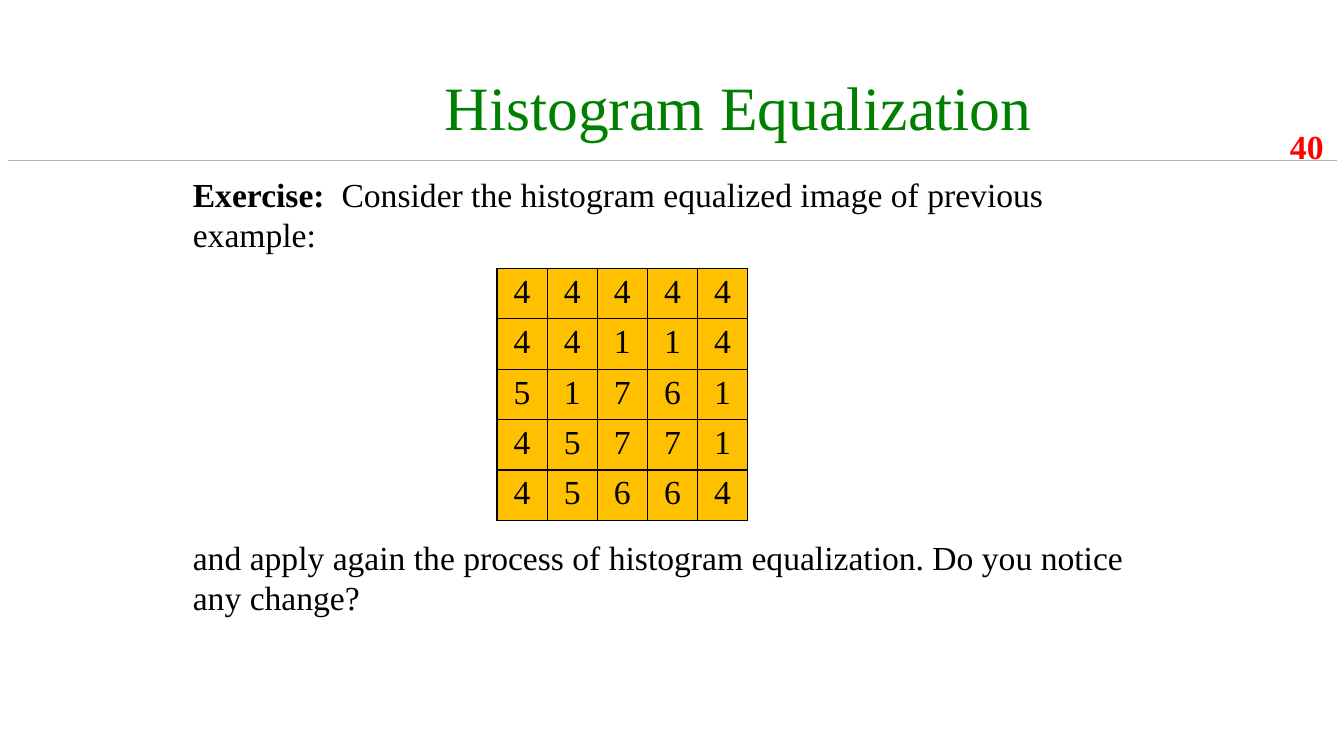
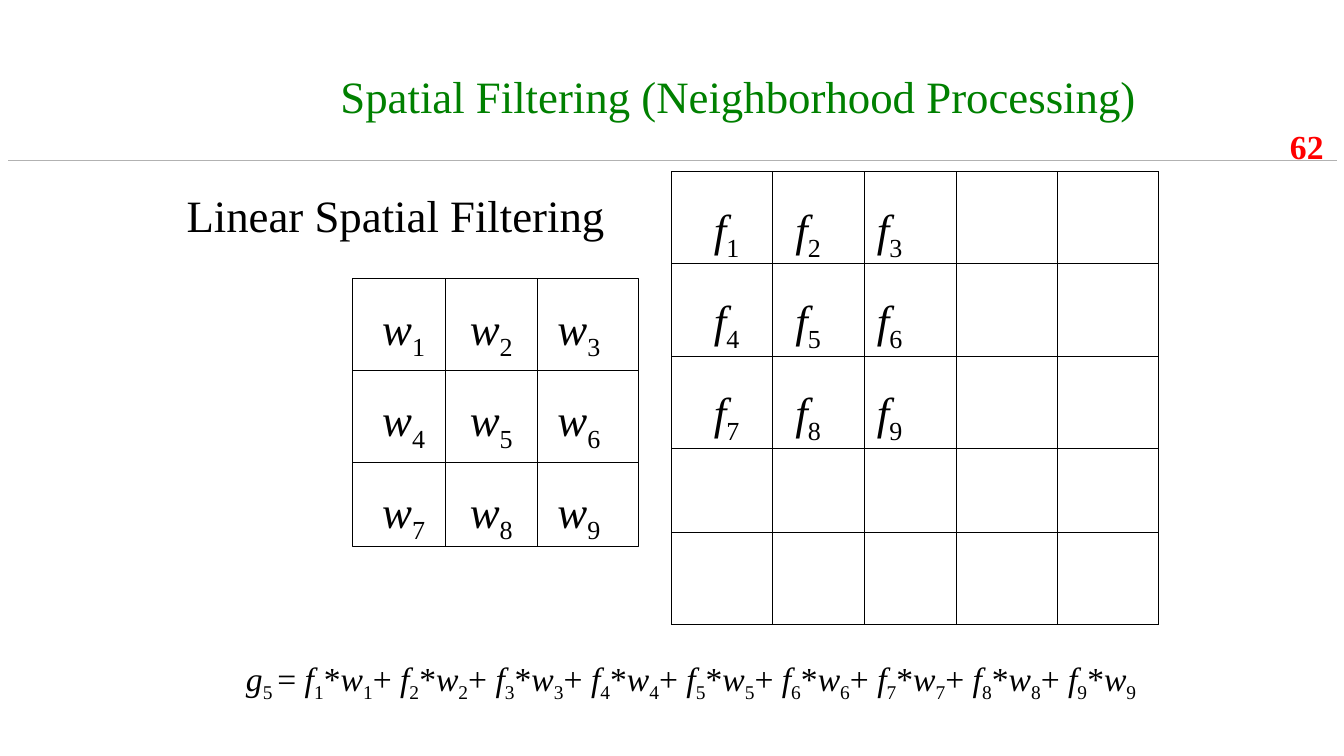
from itertools import product

from lxml import etree
from pptx import Presentation
from pptx import util as u
from pptx.dml.color import RGBColor
from pptx.enum import shapes, text
from pptx.oxml import ns

COLORS = {"title": "008000", "number": "FF0000", "ink": "000000",
          "rule": "B2B2B2", "pixel": "FFC000"}
FONT = "Times New Roman"
STYLES = {"": {}, "b": {"bold": True}, "i": {"italic": True}, "sub": {}}

# The slide is a grid of 160 columns by 90 rows of square units
COLS, ROWS = 160, 90
W, H = u.Inches(13.33), u.Inches(7.5)

PIXELS = ["44444", "44114", "51761", "45771", "45664"]

# Cell blocks outlined in each mask: column, row, columns and rows spanned
WEIGHT_BLOCKS = [(0, 0, 3, 3), (1, 0, 1, 3), (0, 1, 3, 1)]
IMAGE_BLOCKS = [(1, 1, 3, 3), (2, 0, 1, 5), (0, 2, 5, 1), (0, 0, 5, 5)]
IMAGE_BLOCKS += [(c, r, 1, 1) for c, r in product((0, 4), repeat=2)]


def grid(n):
    return round(n * H / ROWS)


def child(parent, tag, **attrs):
    return etree.SubElement(parent, ns.qn(tag), attrs)


def write(p, pieces, size, color="ink", align=text.PP_ALIGN.LEFT):
    """Fill a paragraph with (text, style) pieces."""
    p.alignment = align
    for words, style in pieces:
        r = p.add_run()
        r.text = words
        look = {"name": FONT, "size": u.Pt(size), "bold": False, **STYLES[style]}
        for key, value in look.items():
            setattr(r.font, key, value)
        r.font.color.rgb = RGBColor.from_string(COLORS[color])
        if style == "sub":
            r.font._element.set("baseline", "-25000")


def place(sp, box):
    """Put a text shape in its grid box and return its text frame."""
    sp.left, sp.top, sp.width, sp.height = map(grid, box)
    tf = sp.text_frame
    look = {"word_wrap": True, "auto_size": text.MSO_AUTO_SIZE.NONE,
            "vertical_anchor": text.MSO_ANCHOR.TOP}
    for key, value in look.items():
        setattr(tf, key, value)
    return tf


def add_label(s, box, pieces, size, color="ink"):
    tf = place(s.shapes.add_textbox(0, 0, 0, 0), box)
    write(tf.paragraphs[0], pieces, size, color)


def add_body(s, box, paragraphs, size, gap=0, spacing=1.0):
    """Plain paragraphs in the body placeholder, with a gap between them."""
    tf = place(s.placeholders[1], box)
    for i, pieces in enumerate(paragraphs):
        p = tf.add_paragraph() if i else tf.paragraphs[0]
        pPr = p._p.get_or_add_pPr()
        pPr.set("marL", "0")
        pPr.set("indent", "0")
        child(pPr, "a:buNone")
        p.space_before = u.Pt(gap if i else 0)
        p.line_spacing = spacing
        write(p, pieces, size)


def add_base(prs, title, size, number):
    """Title, rule and slide number shared by the slides."""
    s = prs.slides.add_slide(prs.slide_layouts[1])
    rule = s.shapes.add_connector(shapes.MSO_CONNECTOR.STRAIGHT, grid(1),
                                  grid(19.1), grid(COLS - 0.9), grid(19.1))
    rule.line.color.rgb = RGBColor.from_string(COLORS["rule"])
    rule.line.width = u.Pt(0.25)
    child(rule._element.spPr, "a:effectLst")
    add_label(s, (152.35, 14.4, 7.1, 6), [(number, "b")], 24, "number")
    tf = place(s.shapes.title, (37.15, 7.56, 101.5, 10))
    write(tf.paragraphs[0], [(title, "")], size, "title", text.PP_ALIGN.CENTER)
    return s


def set_borders(cell, width):
    tcPr = cell._tc.get_or_add_tcPr()
    for i, side in enumerate(("a:lnL", "a:lnR", "a:lnT", "a:lnB")):
        ln = etree.Element(ns.qn(side), w=str(u.Pt(width)))
        child(child(ln, "a:solidFill"), "a:srgbClr", val=COLORS["ink"])
        tcPr.insert(i, ln)


def add_pixels(s, box, rows):
    """Ruled table of pixel values with equal cells."""
    n = len(rows)
    t = s.shapes.add_table(n, n, *map(grid, box)).table
    t.first_row = t.horz_banding = False
    for cell, value in zip(t.iter_cells(), "".join(rows)):
        cell.fill.solid()
        cell.fill.fore_color.rgb = RGBColor.from_string(COLORS["pixel"])
        set_borders(cell, 1)
        write(cell.text_frame.paragraphs[0], [(value, "")], 24,
              align=text.PP_ALIGN.CENTER)


def add_symbols(s, box, letter, pitch):
    """Letters numbered 1 to 9, three to a line on evenly pitched tabs."""
    tf = place(s.shapes.add_textbox(0, 0, 0, 0), box)
    for row in range(3):
        p = tf.add_paragraph() if row else tf.paragraphs[0]
        tabs = child(p._p.get_or_add_pPr(), "a:tabLst")
        pieces = []
        for col in range(3):
            if col:
                child(tabs, "a:tab", pos=str(grid(col * pitch)), algn="l")
            pieces += [("\t" * bool(col) + letter, "i"),
                       (str(3 * row + col + 1), "sub")]
        p.space_before = u.Pt(21.6 if row else 0)
        write(p, pieces, 32)


def add_mask(s, left, top, widths, heights, blocks):
    """Outlined blocks of cells that together rule a mask."""
    for c, r, across, down in blocks:
        box = (left + sum(widths[:c]), top + sum(heights[:r]),
               sum(widths[c:c + across]), sum(heights[r:r + down]))
        sp = s.shapes.add_shape(shapes.MSO_SHAPE.RECTANGLE, *map(grid, box))
        sp.shadow.inherit = False
        sp.fill.background()
        sp.line.color.rgb = RGBColor.from_string(COLORS["ink"])
        sp.line.width = u.Pt(0.75)


def add_exercise(prs):
    s = add_base(prs, "Histogram Equalization", 44, "40")
    add_body(s, (21.75, 20.1, 113.5, 54.5), [
        [("Exercise:  ", "b"),
         ("Consider the histogram equalized image of previous example:", "")],
        [("and apply again the process of histogram equalization. "
          "Do you notice any change?", "")]], 24, gap=201.6)
    add_pixels(s, (59.15, 31.95, 29.85, 30), PIXELS)


def add_filtering(prs):
    s = add_base(prs, "Spatial Filtering (Neighborhood Processing)", 32, "62")
    add_body(s, (21, 20.5, 56, 9), [[("Linear Spatial Filtering", "")]], 32,
             spacing=1.2)
    # Filter weights
    add_symbols(s, (44.3, 35.2, 31.4, 27.6), "w", 10.43)
    add_mask(s, 42, 33.1, [11, 11, 12], [11, 11, 10], WEIGHT_BLOCKS)
    # Image neighborhood
    add_symbols(s, (83.8, 23.4, 27.1, 27.8), "f", 9.7)
    add_mask(s, 79.9, 20.4, [12, 11, 11, 12, 12], [11, 11, 11, 10, 11],
             IMAGE_BLOCKS)
    # Weighted sum
    pieces = [("g", "i"), ("5 ", "sub"), ("= ", "")]
    for k in range(1, 10):
        if k > 1:
            pieces.append(("+ ", ""))
        pieces += [("f", "i"), (str(k), "sub"), ("*", ""),
                   ("w", "i"), (str(k), "sub")]
    add_label(s, (28.1, 77.7, 114, 6), pieces, 24)


def main():
    prs = Presentation()
    prs.slide_width, prs.slide_height = W, H
    add_exercise(prs)
    add_filtering(prs)
    prs.save("out.pptx")


if __name__ == "__main__":
    main()
